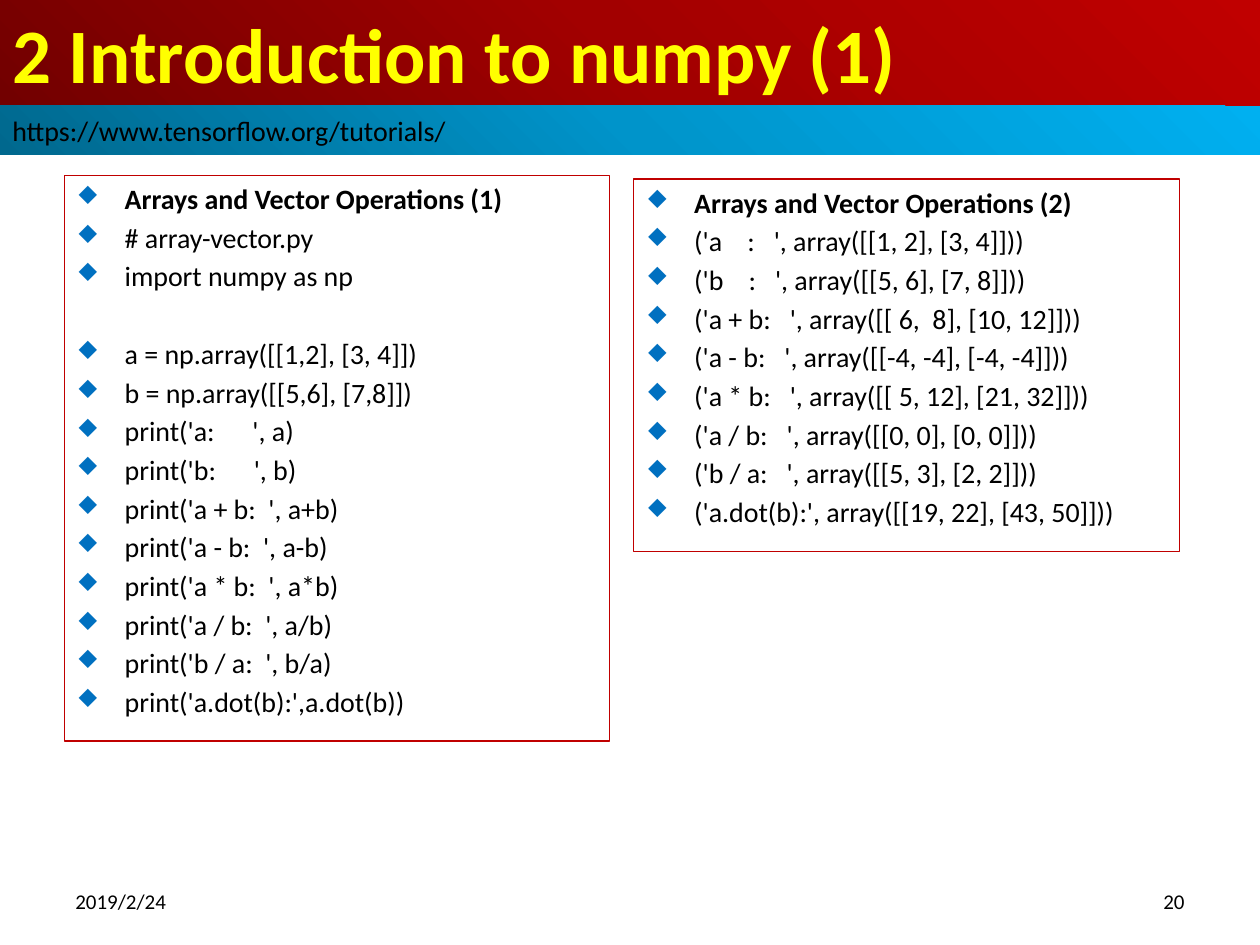
from dataclasses import dataclass

from lxml import etree
from pptx import Presentation
from pptx import util as u
from pptx.dml.color import RGBColor
from pptx.enum import shapes, text
from pptx.oxml import ns


@dataclass(frozen=True)
class Theme:
    font: str = "Calibri"
    title_size: int = 44
    body_size: int = 16
    footer_size: int = 12
    title_color: str = "FFFF00"
    text_color: str = "000000"
    border_color: str = "C00000"
    bullet_color: str = "0070C0"
    title_gradient: tuple = ("720000", "A20000", "C00000")
    link_gradient: tuple = ("00688E", "0094CA", "00B0F0")


THEME = Theme()
LINE_GAP = 2.9
SECTION_GAP = 25.3

CODE = [
    "Arrays and Vector Operations (1)",
    "# array-vector.py",
    "import numpy as np",
    "a = np.array([[1,2], [3, 4]])",
    "b = np.array([[5,6], [7,8]])",
    "print('a:      ', a)",
    "print('b:      ', b)",
    "print('a + b:  ', a+b)",
    "print('a - b:  ', a-b)",
    "print('a * b:  ', a*b)",
    "print('a / b:  ', a/b)",
    "print('b / a:  ', b/a)",
    "print('a.dot(b):',a.dot(b))",
]
OUTPUT = [
    "Arrays and Vector Operations (2)",
    "('a    :   ', array([[1, 2], [3, 4]]))",
    "('b    :   ', array([[5, 6], [7, 8]]))",
    "('a + b:   ', array([[ 6,  8], [10, 12]]))",
    "('a - b:   ', array([[-4, -4], [-4, -4]]))",
    "('a * b:   ', array([[ 5, 12], [21, 32]]))",
    "('a / b:   ', array([[0, 0], [0, 0]]))",
    "('b / a:   ', array([[5, 3], [2, 2]]))",
    "('a.dot(b):', array([[19, 22], [43, 50]]))",
]


def inches(*lengths):
    return [u.Inches(length) for length in lengths]


def place(shape, box):
    shape.left, shape.top, shape.width, shape.height = inches(*box)


def style(para, size, color=THEME.text_color, bold=False):
    para.font.name = THEME.font
    para.font.size = u.Pt(size)
    para.font.bold = bold
    para.font.color.rgb = RGBColor.from_string(color)


def write_line(shape, words, size, align=text.PP_ALIGN.LEFT, **look):
    frame = shape.text_frame
    frame.word_wrap = True
    frame.auto_size = text.MSO_AUTO_SIZE.NONE
    frame.vertical_anchor = text.MSO_ANCHOR.MIDDLE
    para = frame.paragraphs[0]
    para.text = words
    para.alignment = align
    style(para, size, **look)


def fill_from_corner(shape, colors):
    shape.fill.solid()
    solid = shape.element.spPr.find(ns.qn("a:solidFill"))
    stops = "".join(
        f'<a:gs pos="{index * 50000}"><a:srgbClr val="{color}"/></a:gs>'
        for index, color in enumerate(colors)
    )
    gradient = etree.fromstring(
        f'<a:gradFill {ns.nsdecls("a")} rotWithShape="1"><a:gsLst>{stops}</a:gsLst>'
        '<a:path path="circle"><a:fillToRect t="100000" r="100000"/></a:path>'
        "</a:gradFill>"
    )
    solid.getparent().replace(solid, gradient)


def add_bullet(para):
    props = para._p.get_or_add_pPr()
    indent = u.Inches(0.38)
    props.set("marL", str(indent))
    props.set("indent", str(-indent))
    color = etree.SubElement(props, ns.qn("a:buClr"))
    etree.SubElement(color, ns.qn("a:srgbClr"), val=THEME.bullet_color)
    etree.SubElement(props, ns.qn("a:buSzPct"), val="80000")
    etree.SubElement(props, ns.qn("a:buFont"), typeface="Wingdings")
    etree.SubElement(props, ns.qn("a:buChar"), char="u")


def title_band(page, box):
    title = page.shapes.title
    place(title, box)
    fill_from_corner(title, THEME.title_gradient)
    write_line(title, "2 Introduction to numpy (1)", THEME.title_size,
               color=THEME.title_color, bold=True)


def link_band(page, box):
    band = page.shapes.add_shape(shapes.MSO_SHAPE.RECTANGLE, *inches(*box))
    band.shadow.inherit = False
    band.line.fill.background()
    fill_from_corner(band, THEME.link_gradient)
    write_line(band, "https://www.tensorflow.org/tutorials/", THEME.body_size)


def list_panel(panel, box, lines, section_starts=()):
    place(panel, box)
    panel.line.color.rgb = RGBColor.from_string(THEME.border_color)
    panel.line.width = u.Pt(0.75)
    frame = panel.text_frame
    frame.auto_size = text.MSO_AUTO_SIZE.NONE
    for index, words in enumerate(lines):
        para = frame.add_paragraph() if index else frame.paragraphs[0]
        para.text = words
        para.space_before = u.Pt(SECTION_GAP if index in section_starts else LINE_GAP)
        add_bullet(para)
        style(para, THEME.body_size, bold=index == 0)


def footer_text(page, box, words, align):
    note = page.shapes.add_textbox(*inches(*box))
    write_line(note, words, THEME.footer_size, align)


def main():
    deck = Presentation()
    deck.slide_width, deck.slide_height = inches(10, 7.5)
    page = deck.slides.add_slide(deck.slide_layouts.get_by_name("Two Content"))
    title_band(page, (0, 0, 10, 0.84))
    link_band(page, (0, 0.84, 10, 0.39))
    list_panel(page.placeholders[1], (0.51, 1.39, 4.33, 4.49), CODE, section_starts=(3,))
    list_panel(page.placeholders[2], (5.03, 1.42, 4.33, 2.96), OUTPUT)
    footer_text(page, (0.5, 6.95, 2.33, 0.4), "2019/2/24", text.PP_ALIGN.LEFT)
    footer_text(page, (7.17, 6.95, 2.33, 0.4), "20", text.PP_ALIGN.RIGHT)
    deck.save("out.pptx")


if __name__ == "__main__":
    main()
